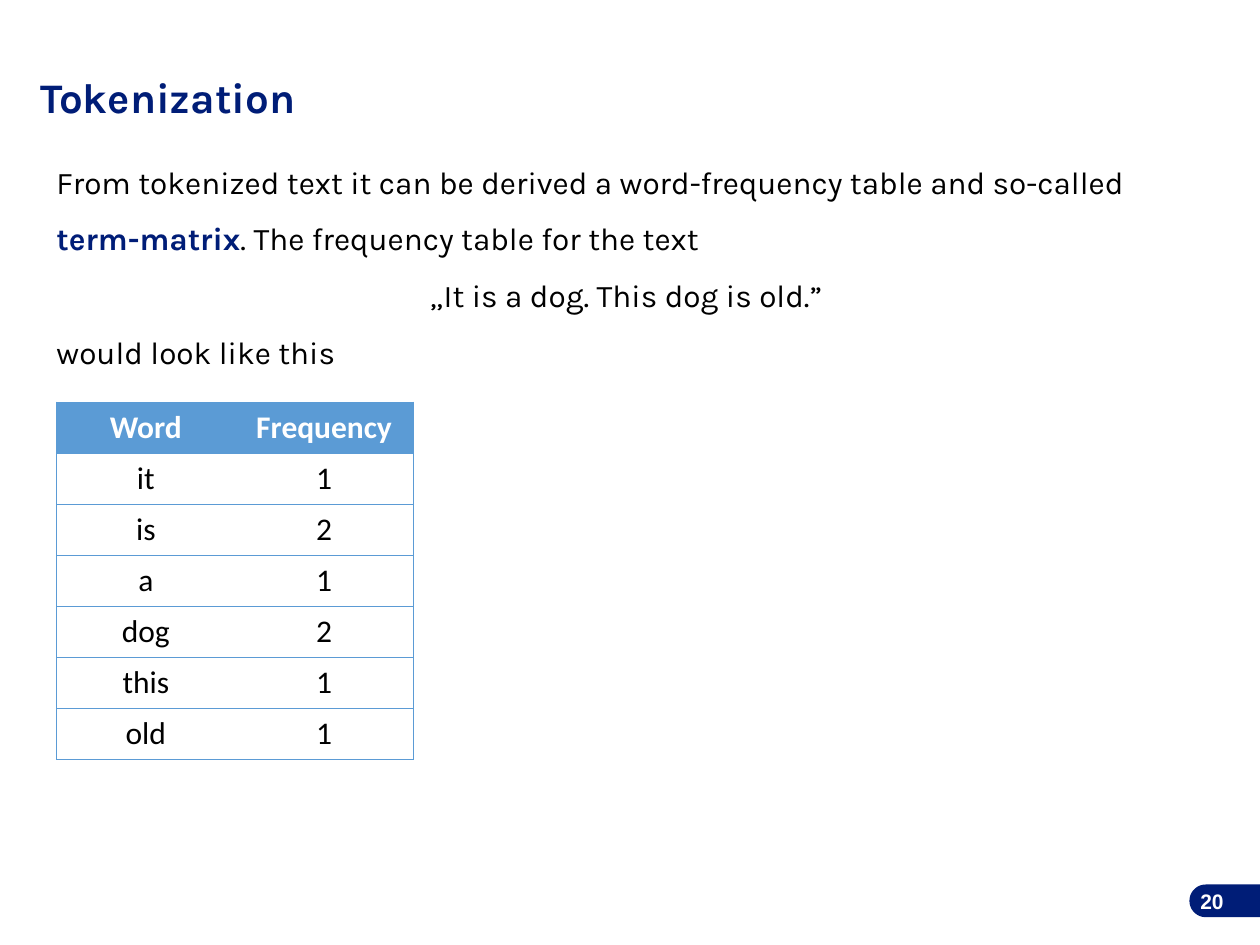
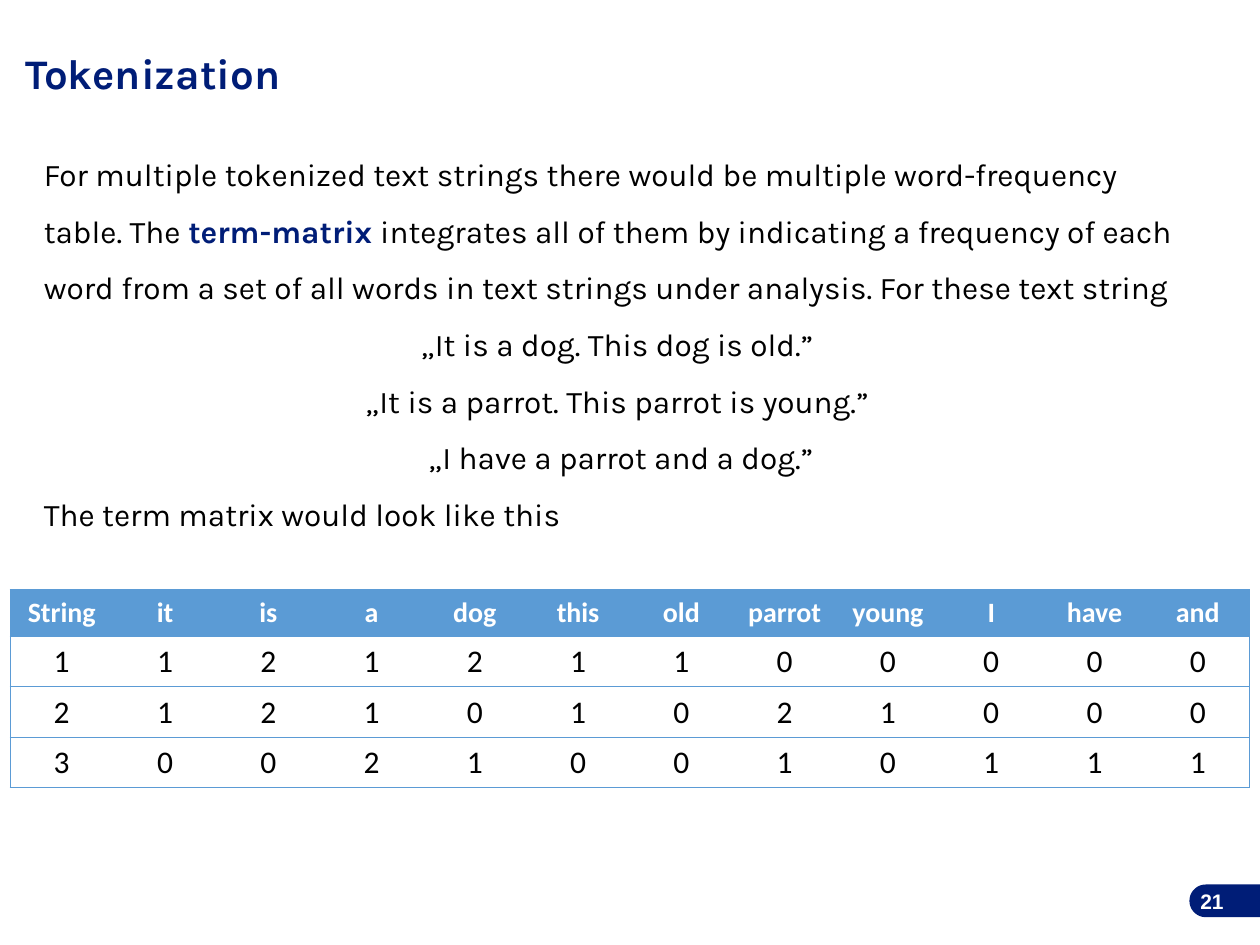
import math

from lxml import etree
from pptx import Presentation
from pptx import util as u
from pptx.dml.color import RGBColor
from pptx.enum import text
from pptx.oxml import ns

COLORS = {"navy": "001D77", "blue": "5B9BD5", "black": "000000", "white": "FFFFFF"}
TEXT_FONT, TABLE_FONT, NUMBER_FONT = "Karla", "Calibri", "Arial"
LEFT, CENTER, RIGHT = text.PP_ALIGN.LEFT, text.PP_ALIGN.CENTER, text.PP_ALIGN.RIGHT


def rgb(color):
    return RGBColor.from_string(COLORS[color])


def format_run(run, font, size, color, bold=False):
    run.font.name = font
    run.font.size = u.Pt(size)
    run.font.color.rgb = rgb(color)
    run.font.bold = bold


def add_title(slide, title, left, top):
    shape = slide.shapes.title
    shape.left, shape.top = u.Inches(left), u.Inches(top)
    shape.width, shape.height = u.Inches(4.75), u.Inches(0.69)
    frame = shape.text_frame
    frame.text = title
    frame.vertical_anchor = text.MSO_ANCHOR.MIDDLE
    paragraph = frame.paragraphs[0]
    paragraph.alignment = CENTER
    paragraph.line_spacing = 0.9
    format_run(paragraph.runs[0], TEXT_FONT, 24, "navy", True)


def add_text_box(slide, left, top, width, height):
    box = slide.shapes.add_textbox(*map(u.Inches, (left, top, width, height)))
    box.text_frame.word_wrap = True
    return box.text_frame


def add_body(slide, place, paragraphs, margin_top=0.05):
    """Each paragraph is an alignment and its parts; every second part is a term."""
    frame = add_text_box(slide, *place)
    frame.margin_top = u.Inches(margin_top)
    for index, (alignment, *parts) in enumerate(paragraphs):
        paragraph = frame.add_paragraph() if index else frame.paragraphs[0]
        paragraph.alignment = alignment
        paragraph.line_spacing = 1.5
        for position, part in enumerate(parts):
            is_term = position % 2 == 1
            run = paragraph.add_run()
            run.text = part
            format_run(run, TEXT_FONT, 18, "navy" if is_term else "black", is_term)


def add_page_number(slide, number):
    """Tab with a round left end, running to the slide's right edge."""
    center_x, center_y, radius, right = map(u.Inches, (9.57, 7.15, 0.13, 10))
    arc = [(center_x + radius * math.cos(angle), center_y - radius * math.sin(angle))
           for angle in (math.radians(degrees) for degrees in range(90, 271, 10))]
    builder = slide.shapes.build_freeform(right, center_y - radius)
    builder.add_line_segments(arc + [(right, center_y + radius)], close=True)
    tab = builder.convert_to_shape()
    tab.shadow.inherit = False
    tab.fill.solid()
    tab.fill.fore_color.rgb = rgb("navy")
    tab.line.fill.background()

    frame = add_text_box(slide, 9.35, 6.95, 0.46, 0.4)
    frame.vertical_anchor = text.MSO_ANCHOR.MIDDLE
    frame.text = str(number)
    frame.paragraphs[0].alignment = RIGHT
    format_run(frame.paragraphs[0].runs[0], NUMBER_FONT, 12, "white", True)


def set_borders(cell, visible_sides):
    properties = cell._tc.get_or_add_tcPr()
    for index, side in enumerate("LRTB"):
        line = etree.Element(ns.qn(f"a:ln{side}"), w=str(u.Pt(0.5)))
        if side in visible_sides:
            fill = etree.SubElement(line, ns.qn("a:solidFill"))
            etree.SubElement(fill, ns.qn("a:srgbClr"), val=COLORS["blue"])
        else:
            etree.SubElement(line, ns.qn("a:noFill"))
        properties.insert(index, line)


def format_cell(cell, value, is_header, size):
    cell.text = str(value)
    cell.vertical_anchor = text.MSO_ANCHOR.MIDDLE
    paragraph = cell.text_frame.paragraphs[0]
    paragraph.alignment = CENTER
    format_run(paragraph.runs[0], TABLE_FONT, size,
               "white" if is_header else "black", is_header)
    if is_header:
        cell.fill.solid()
        cell.fill.fore_color.rgb = rgb("blue")
    else:
        cell.fill.background()


def add_table(slide, place, rows, header_size, header_height):
    left, top, width, height = place
    column_count = len(rows[0])
    table = slide.shapes.add_table(
        len(rows), column_count, *map(u.Inches, place)).table
    table.horz_banding = False
    body_height = (height - header_height) / (len(rows) - 1)
    for column in table.columns:
        column.width = u.Inches(width / column_count)
    for row_index, values in enumerate(rows):
        is_header = row_index == 0
        table.rows[row_index].height = u.Inches(
            header_height if is_header else body_height)
        for column_index, value in enumerate(values):
            cell = table.cell(row_index, column_index)
            format_cell(cell, value, is_header, header_size if is_header else 18)
            sides = "TB"
            if column_index == 0:
                sides += "L"
            if column_index == column_count - 1:
                sides += "R"
            set_borders(cell, sides)


def add_frequency_slide(slide):
    add_title(slide, "Tokenization", -1.04, 0.45)
    add_body(slide, (0.35, 0.79, 9.3, 5.05), [
        (LEFT, "From tokenized text it can be derived a word-frequency table "
               "and so-called ", "term-matrix", ". The frequency table for the text"),
        (CENTER, "„It is a dog. This dog is old.” "),
        (LEFT, "would look like this"),
    ], margin_top=0.35)
    add_page_number(slide, 20)
    frequencies = [("Word", "Frequency"), ("it", 1), ("is", 2), ("a", 1),
                   ("dog", 2), ("this", 1), ("old", 1)]
    add_table(slide, (0.45, 3.19, 2.83, 2.84), frequencies, 18, 0.41)


def add_term_matrix_slide(slide):
    add_title(slide, "Tokenization", -1.16, 0.26)
    add_body(slide, (0.25, 1.03, 9.36, 3.24), [
        (LEFT, "For multiple tokenized text strings there would be multiple "
               "word-frequency table. The ", "term-matrix ",
         "integrates all of them by indicating a frequency of each word from a set "
         "of all words in text strings under analysis. For these text string"),
        (CENTER, "„It is a dog. This dog is old.” "),
        (CENTER, "„It is a parrot. This parrot is young.” "),
        (CENTER, "„I have a parrot and a dog.”"),
        (LEFT, "The term matrix would look like this"),
    ])
    add_page_number(slide, 21)
    term_matrix = [
        ("String", "it", "is", "a", "dog", "this", "old", "parrot", "young",
         "I", "have", "and"),
        (1, 1, 2, 1, 2, 1, 1, 0, 0, 0, 0, 0),
        (2, 1, 2, 1, 0, 1, 0, 2, 1, 0, 0, 0),
        (3, 0, 0, 2, 1, 0, 0, 1, 0, 1, 1, 1),
    ]
    add_table(slide, (0.08, 4.68, 9.84, 1.57), term_matrix, 16, 0.37)


def main():
    presentation = Presentation()
    presentation.slide_width = u.Inches(10)
    presentation.slide_height = u.Inches(7.5)
    title_only = presentation.slide_layouts[5]
    for fill_slide in (add_frequency_slide, add_term_matrix_slide):
        fill_slide(presentation.slides.add_slide(title_only))
    presentation.save("out.pptx")


if __name__ == "__main__":
    main()
